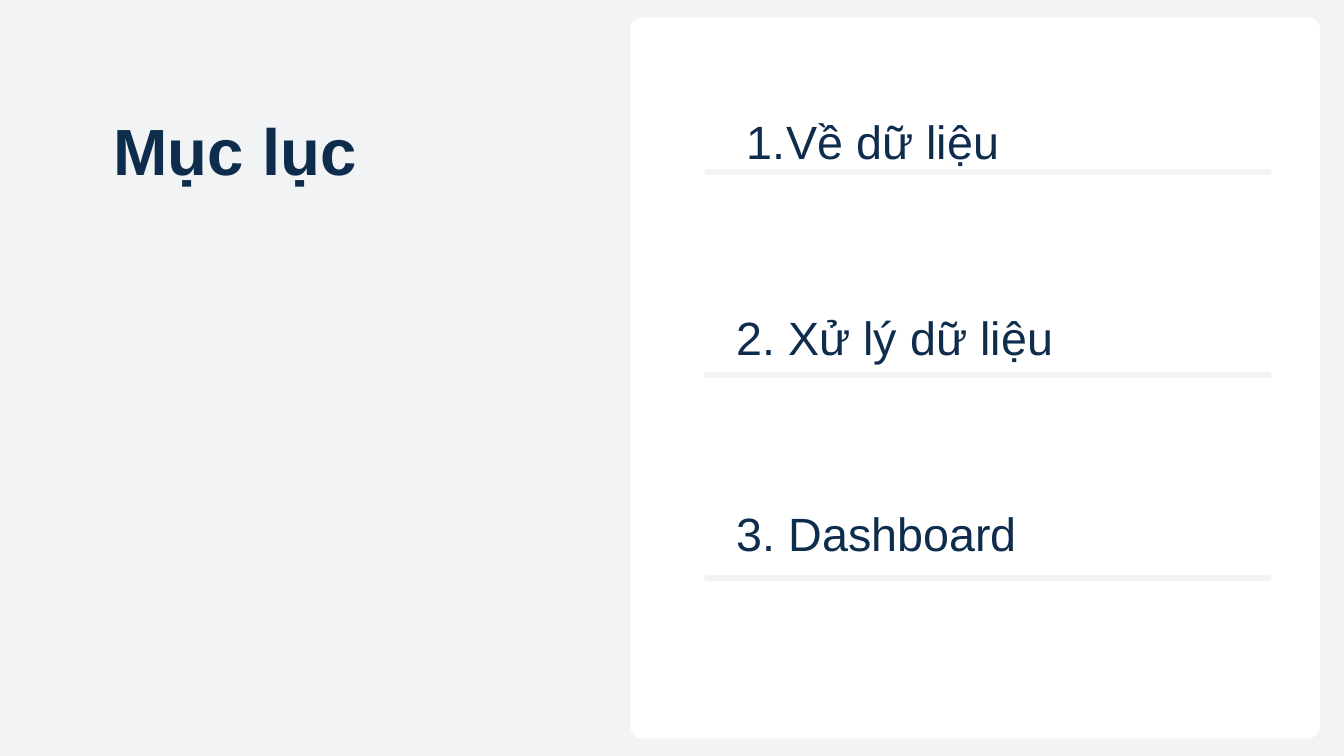
from lxml import etree
from pptx import Presentation
from pptx.dml.color import RGBColor
from pptx.enum.shapes import MSO_CONNECTOR, MSO_SHAPE
from pptx.enum.text import MSO_ANCHOR, MSO_AUTO_SIZE, PP_ALIGN
from pptx.oxml.ns import qn
from pptx.util import Cm, Pt

NAVY = RGBColor(0x0E, 0x2C, 0x4B)
MIST = RGBColor(0xF2, 0xF3, 0xF4)
WHITE = RGBColor(0xFF, 0xFF, 0xFF)

STRAIGHT = MSO_CONNECTOR.STRAIGHT
ROUNDED = MSO_SHAPE.ROUNDED_RECTANGLE
TOP = MSO_ANCHOR.TOP
NO_FIT = MSO_AUTO_SIZE.NONE
LEFT = PP_ALIGN.LEFT

TITLE_AND_CONTENT = 1
LINE_POINTS = 70
ITEM_PITCH_POINTS = 210.24
RULE_LEFT, RULE_RIGHT = 26.72, 47.96
RULE_TOP, RULE_PITCH = 6.5, 7.68
# Text, left margin, first-line indent, whether numbered automatically
TOPICS = [
    ("Về dữ liệu", 3, -1.5, True),
    ("2. Xử lý dữ liệu", 1.12, 0, False),
    ("3. Dashboard", 1.12, 0, False),
]


def write(para, text, *, size, line, bold=False, before=0):
    para.alignment = LEFT
    para.line_spacing = Pt(line)
    para.space_before = Pt(before)
    para.space_after = Pt(0)
    span = para.add_run()
    span.text = text
    span.font.name = "Arial"
    span.font.size = Pt(size)
    span.font.bold = bold
    span.font.color.rgb = NAVY


def set_marker(para, margin, indent, numbered):
    """Set the hanging indent and turn automatic numbering on or off."""
    properties = para._p.get_or_add_pPr()
    properties.set("marL", str(Cm(margin)))
    properties.set("indent", str(Cm(indent)))
    if numbered:
        marker = etree.SubElement(properties, qn("a:buAutoNum"))
        marker.set("type", "arabicPeriod")
    else:
        etree.SubElement(properties, qn("a:buNone"))


class AgendaPage:
    """Holds the style and the current slide."""

    def __init__(self, deck):
        self.page = deck.slides.add_slide(deck.slide_layouts[TITLE_AND_CONTENT])
        fill = self.page.background.fill
        fill.solid()
        fill.fore_color.rgb = MIST

    def frame(self, box, left, top, width, height):
        """Place a box and return its text frame, without insets."""
        box.left, box.top = Cm(left), Cm(top)
        box.width, box.height = Cm(width), Cm(height)
        frame = box.text_frame
        frame.word_wrap = True
        frame.auto_size = NO_FIT
        frame.vertical_anchor = TOP
        frame.margin_left = frame.margin_right = 0
        frame.margin_top = frame.margin_bottom = 0
        return frame

    def title(self, text, *place):
        frame = self.frame(self.page.shapes.title, *place)
        write(frame.paragraphs[0], text, size=70, line=84, bold=True)

    def topics(self, items, *place):
        frame = self.frame(self.page.placeholders[1], *place)
        for index, (text, margin, indent, numbered) in enumerate(items):
            para = frame.add_paragraph() if index else frame.paragraphs[0]
            gap = ITEM_PITCH_POINTS - LINE_POINTS if index else 0
            write(para, text, size=50, line=LINE_POINTS, before=gap)
            set_marker(para, margin, indent, numbered)

    def panel(self, left, top, width, height, radius):
        panel = self.page.shapes.add_shape(
            ROUNDED, Cm(left), Cm(top), Cm(width), Cm(height))
        panel.adjustments[0] = radius / min(width, height)
        panel.shadow.inherit = False
        panel.fill.solid()
        panel.fill.fore_color.rgb = WHITE
        panel.line.fill.background()
        self.send_to_back(panel, 0)

    def rule(self, top, depth):
        rule = self.page.shapes.add_connector(
            STRAIGHT, Cm(RULE_LEFT), Cm(top), Cm(RULE_RIGHT), Cm(top))
        rule.line.width = Pt(6)
        rule.line.color.rgb = MIST
        rule.line._get_or_add_ln().set("cap", "rnd")
        etree.SubElement(rule._element.spPr, qn("a:effectLst"))
        self.send_to_back(rule, depth)

    def send_to_back(self, shape, depth):
        """Move a shape below the placeholders, at the given depth."""
        tree = self.page.shapes._spTree
        tree.remove(shape._element)
        tree.insert(2 + depth, shape._element)


def main():
    deck = Presentation()
    deck.slide_width, deck.slide_height = Cm(50.8), Cm(28.58)
    agenda = AgendaPage(deck)
    agenda.panel(23.83, 0.66, 26.06, 27.25, radius=0.43)
    for index in range(len(TOPICS)):
        agenda.rule(RULE_TOP + index * RULE_PITCH, depth=index + 1)
    agenda.topics(TOPICS, RULE_LEFT, 3.91, 20.2, 17.2)
    agenda.title("Mục lục", 4.29, 4.17, 17.15, 2.95)
    deck.save("out.pptx")


if __name__ == "__main__":
    main()
